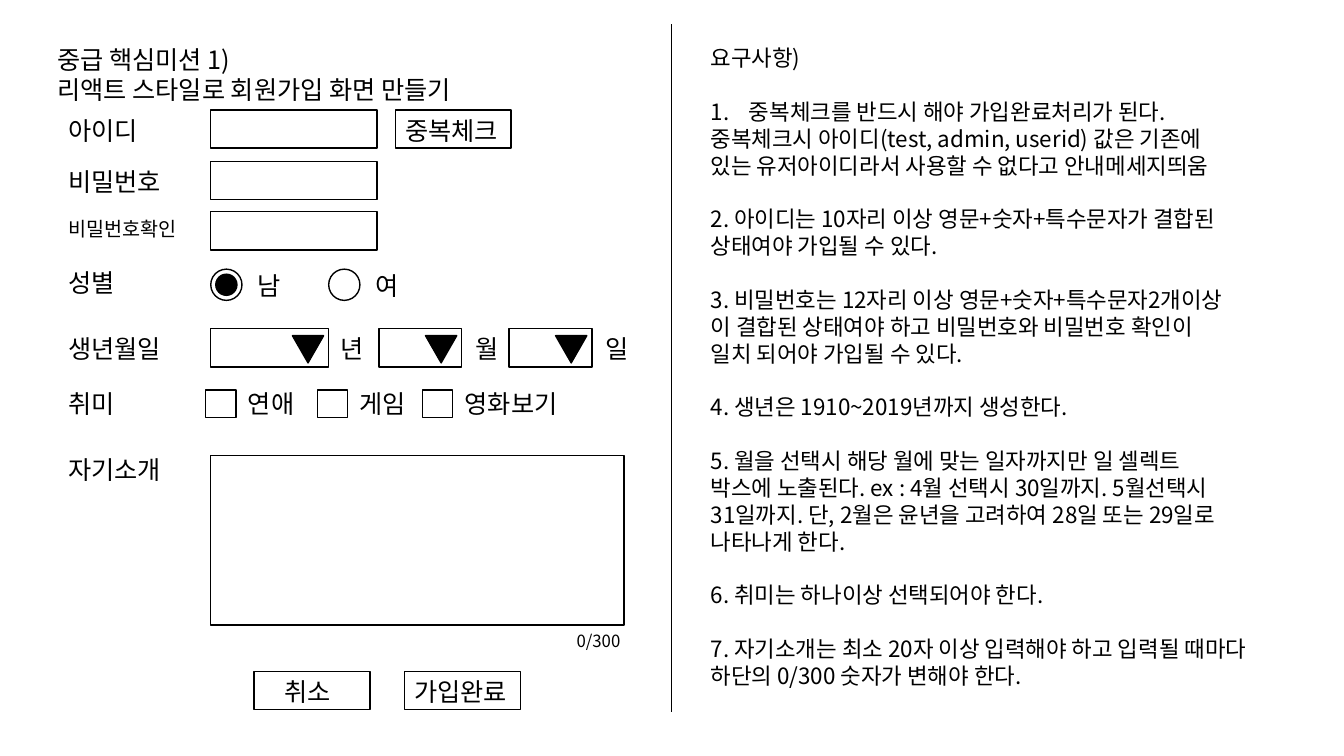
import dataclasses

import pptx
import pptx.util
import pptx.dml.color
import pptx.enum.shapes
import pptx.enum.text
import pptx.oxml.ns
from lxml import etree

Inches = pptx.util.Inches
Pt = pptx.util.Pt
Kind = pptx.enum.shapes.MSO_SHAPE


@dataclasses.dataclass(frozen=True)
class Theme:
    font: str = "Noto Sans CJK KR"
    ink: pptx.dml.color.RGBColor = pptx.dml.color.RGBColor(0, 0, 0)
    body: int = 18
    rule: int = 16
    small: int = 14
    tiny: int = 12
    pitch: float = 1.2


THEME = Theme()

FIELDS = [
    ("아이디", 1.09, 0.96, THEME.body),
    ("비밀번호", 1.6, 1.21, THEME.body),
    ("비밀번호확인", 2.1, 1.38, THEME.small),
]
LABELS = [
    ("성별", 2.6, 0.71),
    ("생년월일", 3.26, 1.21),
    ("취미", 3.8, 0.71),
    ("자기소개", 4.46, 1.21),
]
DATES = [("년", 2.09, 1.17, 3.28), ("월", 3.76, 0.82, 4.62), ("일", 5.05, 0.82, 5.91)]
HOBBIES = [("연애", 2.04, 0.71), ("게임", 3.15, 0.71), ("영화보기", 4.19, 1.21)]
BUTTONS = [
    ("중복체크", 3.92, 1.09, 3.92, 1.21),
    ("취소", 2.52, 6.66, 2.72, 0.71),
    ("가입완료", 4.01, 6.66, 4.01, 1.21),
]
RULES = [
    ["요구사항)"],
    [
        "중복체크를 반드시 해야 가입완료처리가 된다.",
        "중복체크시 아이디(test, admin, userid) 값은 기존에",
        "있는 유저아이디라서 사용할 수 없다고 안내메세지띄움",
    ],
    ["2. 아이디는 10자리 이상 영문+숫자+특수문자가 결합된", "상태여야 가입될 수 있다."],
    [
        "3. 비밀번호는 12자리 이상 영문+숫자+특수문자2개이상",
        "이 결합된 상태여야 하고 비밀번호와 비밀번호 확인이",
        "일치 되어야 가입될 수 있다.",
    ],
    ["4. 생년은 1910~2019년까지 생성한다."],
    [
        "5. 월을 선택시 해당 월에 맞는 일자까지만 일 셀렉트",
        "박스에 노출된다. ex : 4월 선택시 30일까지. 5월선택시",
        "31일까지. 단, 2월은 윤년을 고려하여 28일 또는 29일로",
        "나타나게 한다.",
    ],
    ["6. 취미는 하나이상 선택되어야 한다."],
    ["7. 자기소개는 최소 20자 이상 입력해야 하고 입력될 때마다", "하단의 0/300 숫자가 변해야 한다."],
]


def add_text(slide, text, x, y, w, h=0.4, size=THEME.body):
    box = slide.shapes.add_textbox(Inches(x), Inches(y), Inches(w), Inches(h))
    frame = box.text_frame
    frame.text = text
    frame.word_wrap = False
    frame.auto_size = pptx.enum.text.MSO_AUTO_SIZE.SHAPE_TO_FIT_TEXT
    for para in frame.paragraphs:
        para.line_spacing = Pt(size * THEME.pitch)
        for run in para.runs:
            run.font.size = Pt(size)
            run.font.name = THEME.font
            run.font.color.rgb = THEME.ink
            east = etree.SubElement(run.font._element, pptx.oxml.ns.qn("a:ea"))
            east.set("typeface", THEME.font)
    return frame


def add_shape(shapes, kind, x, y, w, h, solid=False):
    shape = shapes.add_shape(kind, Inches(x), Inches(y), Inches(w), Inches(h))
    shape.shadow.inherit = False
    shape.line.color.rgb = THEME.ink
    shape.line.width = Pt(1)
    if solid:
        shape.fill.solid()
        shape.fill.fore_color.rgb = THEME.ink
    else:
        shape.fill.background()
    return shape


def add_box(slide, x, y, w, h=0.38):
    add_shape(slide.shapes, Kind.RECTANGLE, x, y, w, h)


def add_radio(slide, text, x, chosen):
    shapes = slide.shapes.add_group_shape().shapes if chosen else slide.shapes
    add_shape(shapes, Kind.OVAL, x, 2.67, 0.31, 0.31)
    if chosen:
        add_shape(shapes, Kind.OVAL, x + 0.05, 2.72, 0.21, 0.21, True)
    add_text(slide, text, x + 0.37, 2.63, 0.45)


def add_select(slide, unit, x, w, mark):
    add_box(slide, x, 3.26, w)
    arrow = add_shape(
        slide.shapes, Kind.ISOSCELES_TRIANGLE, x + w - 0.36, 3.33, 0.31, 0.27, True
    )
    arrow.rotation = 180
    add_text(slide, unit, mark, 3.26, 0.45)


def add_check(slide, text, x, w):
    add_box(slide, x, 3.87, 0.3, 0.27)
    add_text(slide, text, x + 0.32, 3.8, w)


def add_button(slide, text, x, y, left, w):
    add_box(slide, x, y, 1.15)
    add_text(slide, text, left, y, w)


def add_line(slide, x, top, end):
    line = slide.shapes.add_connector(
        pptx.enum.shapes.MSO_CONNECTOR.STRAIGHT,
        Inches(x), Inches(top), Inches(x), Inches(end),
    )
    line.line.color.rgb = THEME.ink
    line.line.width = Pt(0.5)
    etree.SubElement(line._element.spPr, pptx.oxml.ns.qn("a:effectLst"))


def add_rules(slide):
    lines = [line for rule in RULES for line in rule]
    frame = add_text(slide, "\n".join(lines), 6.95, 0.39, 6.19, 6.56, THEME.rule)
    heads = [rule[0] for rule in RULES[1:]]
    for para in frame.paragraphs:
        if para.text in heads:
            para.space_before = Pt(THEME.rule * THEME.pitch)
    props = frame.paragraphs[1]._p.get_or_add_pPr()
    props.set("marL", str(Inches(0.38)))
    props.set("indent", str(Inches(-0.38)))
    face = etree.SubElement(props, pptx.oxml.ns.qn("a:buFont"))
    face.set("typeface", THEME.font)
    number = etree.SubElement(props, pptx.oxml.ns.qn("a:buAutoNum"))
    number.set("type", "arabicPeriod")


def main():
    deck = pptx.Presentation()
    deck.slide_width = Inches(13.33)
    deck.slide_height = Inches(7.5)
    slide = deck.slides.add_slide(deck.slide_layouts[6])
    title = "중급 핵심미션 1)\n리액트 스타일로 회원가입 화면 만들기"
    add_text(slide, title, 0.47, 0.39, 4.6, 0.71)
    for text, y, w, size in FIELDS:
        add_text(slide, text, 0.58, y, w, size=size)
        add_box(slide, 2.09, y, 1.65)
    for text, y, w in LABELS:
        add_text(slide, text, 0.58, y, w)
    add_radio(slide, "남", 2.09, True)
    add_radio(slide, "여", 3.26, False)
    for date in DATES:
        add_select(slide, *date)
    for hobby in HOBBIES:
        add_check(slide, *hobby)
    add_box(slide, 2.09, 4.52, 4.1, 1.68)
    add_text(slide, "0/300", 5.62, 6.21, 0.64, 0.3, THEME.tiny)
    for button in BUTTONS:
        add_button(slide, *button)
    add_line(slide, 6.66, 0.24, 7.06)
    add_rules(slide)
    deck.save("out.pptx")


if __name__ == "__main__":
    main()
